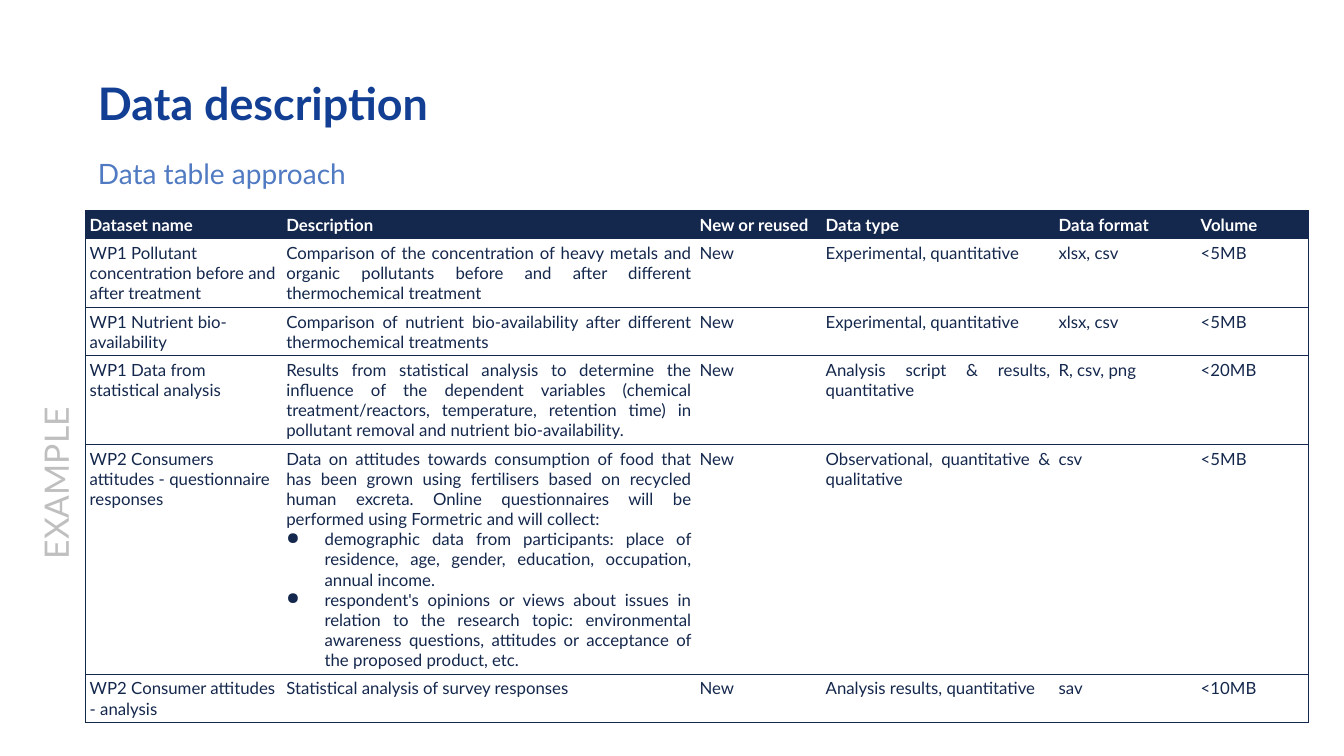
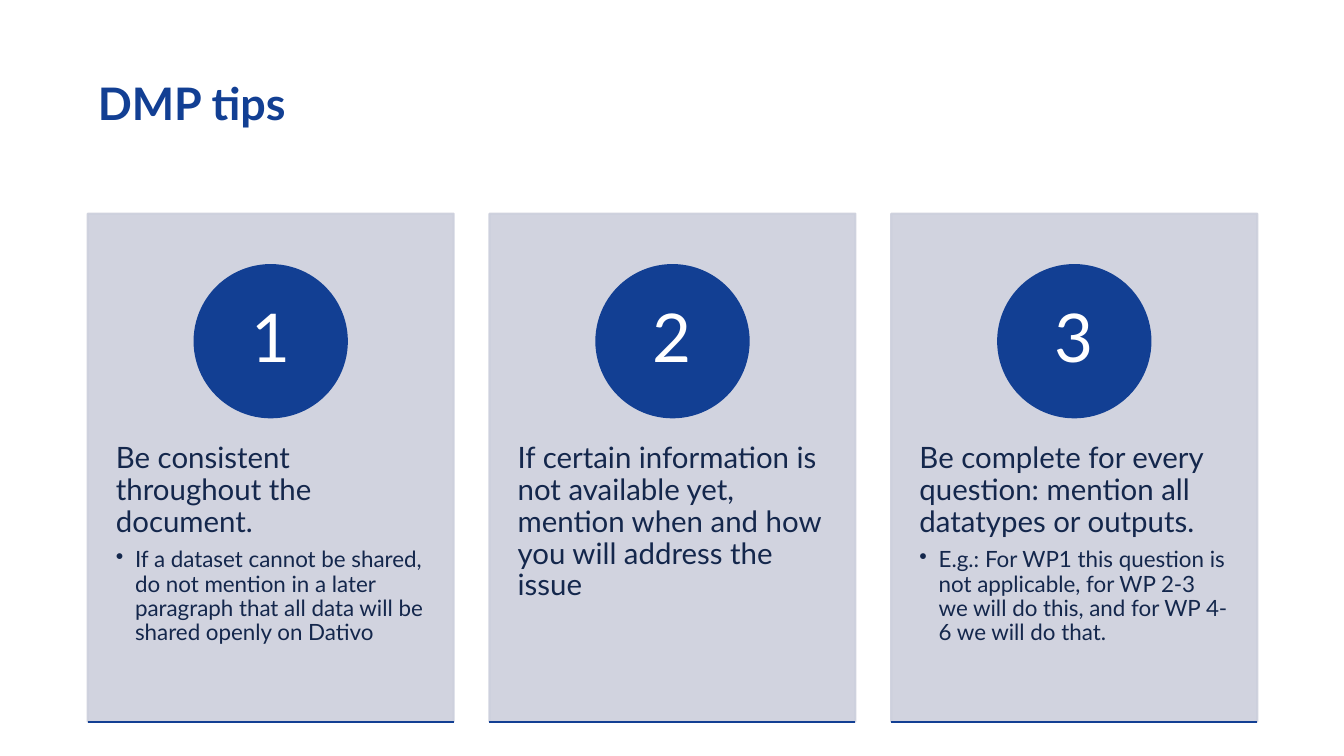
from dataclasses import dataclass

from lxml import etree
from pptx import Presentation
from pptx.dml.color import RGBColor
from pptx.enum.shapes import MSO_CONNECTOR, MSO_SHAPE
from pptx.enum.text import MSO_ANCHOR, MSO_AUTO_SIZE, PP_ALIGN
from pptx.oxml.ns import qn
from pptx.util import Inches, Pt

RECT, OVAL = MSO_SHAPE.RECTANGLE, MSO_SHAPE.OVAL
STRAIGHT = MSO_CONNECTOR.STRAIGHT
LEFT, CENTER, JUSTIFY = PP_ALIGN.LEFT, PP_ALIGN.CENTER, PP_ALIGN.JUSTIFY
TOP, MIDDLE = MSO_ANCHOR.TOP, MSO_ANCHOR.MIDDLE
NO_FIT = MSO_AUTO_SIZE.NONE

FONT = "Lato"
COLORS = {
    "title": "123F93",
    "subtitle": "507AC2",
    "ink": "14274C",
    "panel": "CCCFDC",
    "label": "BFBFBF",
    "white": "FFFFFF",
}
SLIDE_W, SLIDE_H = 13.33, 7.5
MARGIN, CONTENT_W = 0.87, 11.6
LAYOUT_CONTENT, LAYOUT_TITLE = 1, 5

TABLE_LEFT, TABLE_TOP = 0.85, 2.09
COL_WIDTHS = [1.95, 4.1, 1.25, 2.31, 1.41, 1.11]
ROW_HEIGHTS = [0.27, 0.67, 0.48, 0.88, 2.27, 0.48]
CELL_INSET = 0.04

PANEL_TOP, PANEL_W, PANEL_H = 2.12, 3.63, 5.04
CIRCLE_TOP, CIRCLE_D = 2.63, 1.51
TIP_TOP, TIP_H = 4.04, 3.02


@dataclass
class Para:
    text: str
    size: float | None = None
    bullet: str = ""
    indent: float = 0
    after: float = 0


@dataclass
class Tip:
    paras: list[Para]


HEADER = ["Dataset name", "Description", "New or reused", "Data type", "Data format", "Volume"]
ROWS = [
    ["WP1 Pollutant concentration before and after treatment",
     "Comparison of the concentration of heavy metals and organic pollutants before and after "
     "different thermochemical treatment",
     "New", "Experimental, quantitative", "xlsx, csv", "<5MB"],
    ["WP1 Nutrient bio-availability",
     "Comparison of nutrient bio-availability after different thermochemical treatments",
     "New", "Experimental, quantitative", "xlsx, csv", "<5MB"],
    ["WP1 Data from statistical analysis",
     "Results from statistical analysis to determine the influence of the dependent variables "
     "(chemical treatment/reactors, temperature, retention time) in pollutant removal and "
     "nutrient bio-availability.",
     "New", "Analysis script & results, quantitative", "R, csv, png", "<20MB"],
    ["WP2 Consumers attitudes - questionnaire responses",
     [Para("Data on attitudes towards consumption of food that has been grown using fertilisers "
           "based on recycled human excreta. Online questionnaires will be performed using "
           "Formetric and will collect:"),
      Para("demographic data from participants: place of residence, age, gender, education, "
           "occupation, annual income.", bullet="●", indent=0.38),
      Para("respondent's opinions or views about issues in relation to the research topic: "
           "environmental awareness questions, attitudes or acceptance of the proposed product, "
           "etc.", bullet="●", indent=0.38)],
     "New", "Observational, quantitative & qualitative", "csv", "<5MB"],
    ["WP2 Consumer attitudes - analysis", "Statistical analysis of survey responses",
     "New", "Analysis results, quantitative", "sav", "<10MB"],
]
TIPS = [
    Tip([Para("Be consistent throughout the document.", after=7),
         Para("If a dataset cannot be shared, do not mention in a later paragraph that all data "
              "will be shared openly on Dativo", 16, "•", 0.19)]),
    Tip([Para("If certain information is not available yet, mention when and how you will "
              "address the issue")]),
    Tip([Para("Be complete for every question: mention all datatypes or outputs.", after=7),
         Para("E.g.: For WP1 this question is not applicable, for WP 2-3 we will do this, and "
              "for WP 4-6 we will do that.", 16, "•", 0.19)]),
]


def rgb(name: str) -> RGBColor:
    return RGBColor.from_string(COLORS[name])


def write(tf, content: str | list[Para], *, size: float, color: str, bold: bool = False,
          align=LEFT, spacing: float = 1.0) -> None:
    """Fill a text frame with a string or a list of paragraphs."""
    paras = [Para(content)] if isinstance(content, str) else content
    for i, para in enumerate(paras):
        p = tf.paragraphs[0] if i == 0 else tf.add_paragraph()
        pPr = p._p.get_or_add_pPr()
        pPr.set("marL", str(Inches(para.indent)))
        pPr.set("indent", str(-Inches(para.indent)))
        if para.bullet:
            etree.SubElement(pPr, qn("a:buChar")).set("char", para.bullet)
        else:
            etree.SubElement(pPr, qn("a:buNone"))
        p.alignment, p.line_spacing = align, spacing
        p.space_before, p.space_after = Pt(0), Pt(para.after)
        r = p.add_run()
        r.text = para.text
        r.font.name, r.font.size, r.font.bold = FONT, Pt(para.size or size), bold
        r.font.color.rgb = rgb(color)


def frame(sp, anchor=TOP, inset_x: float = 0.1, inset_y: float = 0.05):
    tf = sp.text_frame
    tf.word_wrap, tf.auto_size, tf.vertical_anchor = True, NO_FIT, anchor
    tf.margin_left = tf.margin_right = Inches(inset_x)
    tf.margin_top = tf.margin_bottom = Inches(inset_y)
    return tf


def fill_placeholder(sp, top: float, height: float, text: str, **fmt) -> None:
    sp.left, sp.top = Inches(MARGIN), Inches(top)
    sp.width, sp.height = Inches(CONTENT_W), Inches(height)
    write(frame(sp, MIDDLE), text, **fmt)


def add_titled_slide(prs, layout: int, title: str):
    s = prs.slides.add_slide(prs.slide_layouts[layout])
    fill_placeholder(s.shapes.title, 0.66, 0.78, title,
                     size=32, color="title", bold=True, spacing=0.9)
    return s


def add_text(s, left: float, top: float, width: float, height: float, inset_x: float = 0.1,
             inset_y: float = 0.05):
    sp = s.shapes.add_textbox(Inches(left), Inches(top), Inches(width), Inches(height))
    return frame(sp, TOP, inset_x, inset_y)


def add_block(s, kind, left: float, top: float, width: float, height: float, color: str,
              opacity: int = 100):
    """Add a shape whose fill and outline share one colour and opacity (percent)."""
    sp = s.shapes.add_shape(kind, Inches(left), Inches(top), Inches(width), Inches(height))
    sp.shadow.inherit = False
    sp.fill.solid()
    sp.fill.fore_color.rgb = rgb(color)
    sp.line.color.rgb = rgb(color)
    sp.line.width = Pt(1.5)
    if opacity < 100:
        for clr in sp._element.spPr.iter(qn("a:srgbClr")):
            etree.SubElement(clr, qn("a:alpha")).set("val", str(opacity * 1000))
    return sp


def set_borders(cell, visible: set[str]) -> None:
    """Draw the sides named in visible (L, R, T, B) and clear the others."""
    tcPr = cell._tc.get_or_add_tcPr()
    for side in "LRTB":
        ln = etree.SubElement(tcPr, qn(f"a:ln{side}"))
        ln.set("w", str(Pt(1)))
        if side in visible:
            solid = etree.SubElement(ln, qn("a:solidFill"))
            etree.SubElement(solid, qn("a:srgbClr")).set("val", COLORS["ink"])
        else:
            etree.SubElement(ln, qn("a:noFill"))


def add_dataset_table(s) -> None:
    table = s.shapes.add_table(
        len(ROW_HEIGHTS), len(COL_WIDTHS), Inches(TABLE_LEFT), Inches(TABLE_TOP),
        Inches(sum(COL_WIDTHS)), Inches(sum(ROW_HEIGHTS))).table
    table.horz_banding = False
    for column, width in zip(table.columns, COL_WIDTHS):
        column.width = Inches(width)
    for row, height in zip(table.rows, ROW_HEIGHTS):
        row.height = Inches(height)
    last = len(COL_WIDTHS) - 1
    for i, values in enumerate([HEADER, *ROWS]):
        header = i == 0
        for j, value in enumerate(values):
            cell = table.cell(i, j)
            cell.margin_left = cell.margin_right = Inches(CELL_INSET)
            cell.margin_top = cell.margin_bottom = Inches(CELL_INSET)
            set_borders(cell, {"T", "B"} | ({"L"} if j == 0 else set())
                        | ({"R"} if j == last else set()))
            if header:
                cell.fill.solid()
                cell.fill.fore_color.rgb = rgb("ink")
            else:
                cell.fill.background()
            write(cell.text_frame, value, size=12, color="white" if header else "ink",
                  bold=header, align=JUSTIFY if header or j else LEFT)


def add_tip(s, number: int, left: float, tip: Tip) -> None:
    add_block(s, RECT, left, PANEL_TOP, PANEL_W, PANEL_H, "panel", opacity=90)
    write(add_text(s, left, TIP_TOP, PANEL_W, TIP_H, 0.28, 0.36), tip.paras,
          size=21, color="ink", spacing=0.9)
    circle = add_block(s, OVAL, left + (PANEL_W - CIRCLE_D) / 2, CIRCLE_TOP,
                       CIRCLE_D, CIRCLE_D, "title")
    write(frame(circle, MIDDLE, 0.12, 0.01), str(number),
          size=48, color="white", align=CENTER, spacing=0.9)
    bottom = Inches(PANEL_TOP + PANEL_H)
    rule = s.shapes.add_connector(STRAIGHT, Inches(left), bottom, Inches(left + PANEL_W), bottom)
    rule.line.color.rgb = rgb("title")
    rule.line.width = Pt(1.5)
    etree.SubElement(rule._element.spPr, qn("a:effectLst"))


def build_data_description(prs) -> None:
    s = add_titled_slide(prs, LAYOUT_CONTENT, "Data description")
    fill_placeholder(s.placeholders[1], 1.5, 0.4, "Data table approach",
                     size=20, color="subtitle", spacing=1.14)
    add_dataset_table(s)
    tf = add_text(s, 0.22, 3.23, 0.64, 3.13)
    tf._txBody.bodyPr.set("vert", "vert270")
    write(tf, "EXAMPLE", size=24, color="label", align=CENTER, spacing=1.2)


def build_tips(prs) -> None:
    s = add_titled_slide(prs, LAYOUT_TITLE, "DMP tips")
    step = (CONTENT_W - PANEL_W) / (len(TIPS) - 1)
    for i, tip in enumerate(TIPS):
        add_tip(s, i + 1, MARGIN + i * step, tip)


def main() -> None:
    prs = Presentation()
    prs.slide_width, prs.slide_height = Inches(SLIDE_W), Inches(SLIDE_H)
    build_data_description(prs)
    build_tips(prs)
    prs.save("out.pptx")


if __name__ == "__main__":
    main()
